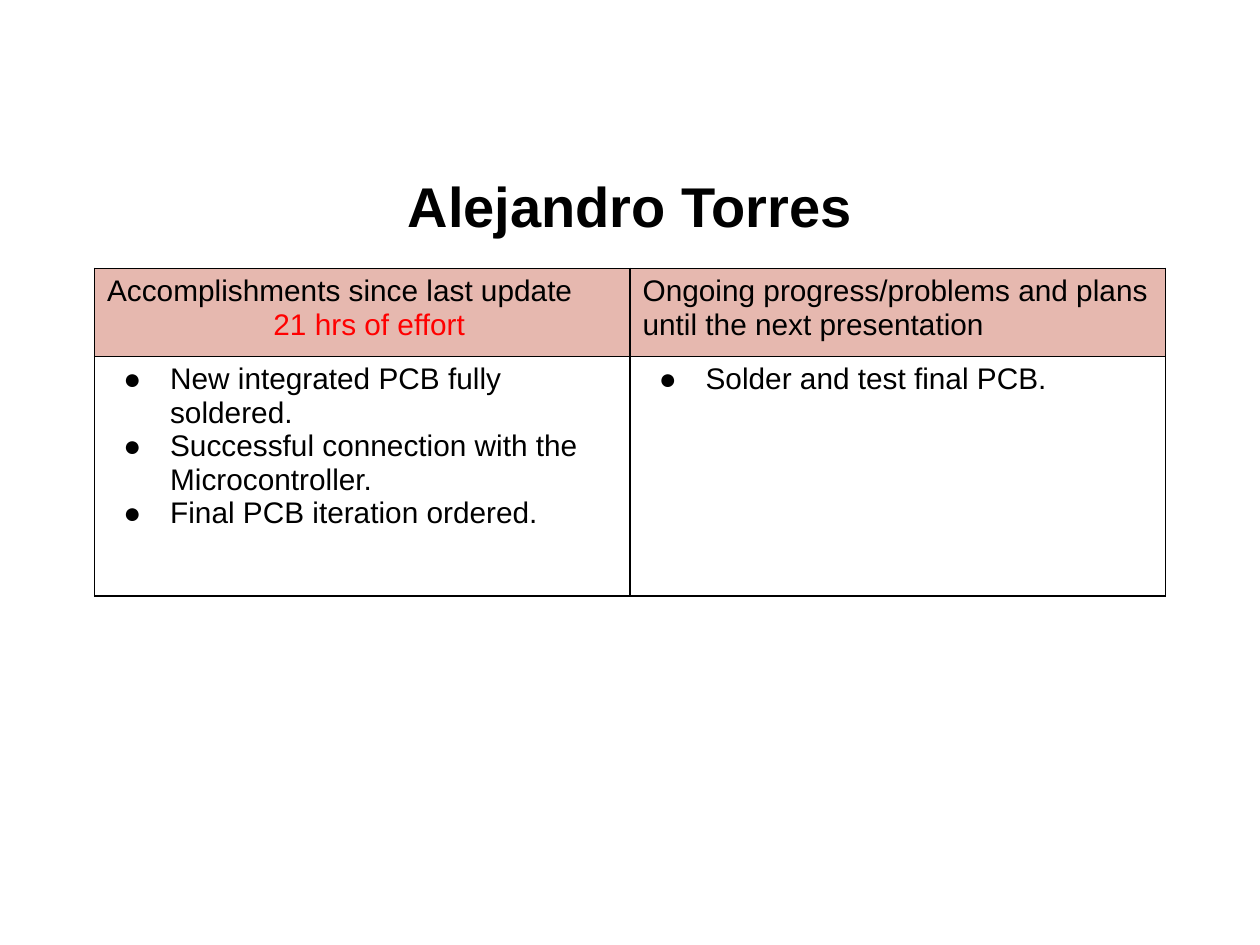
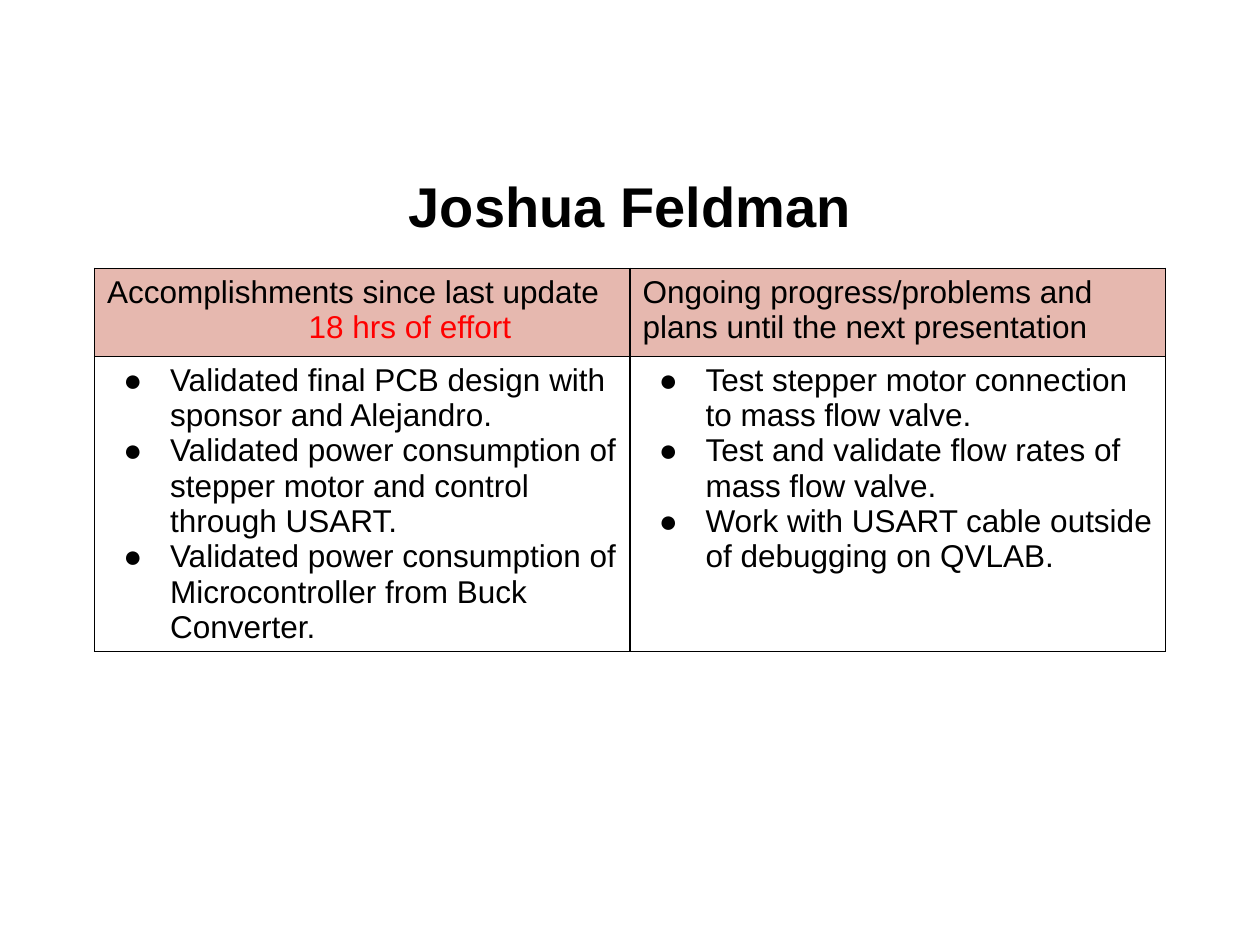
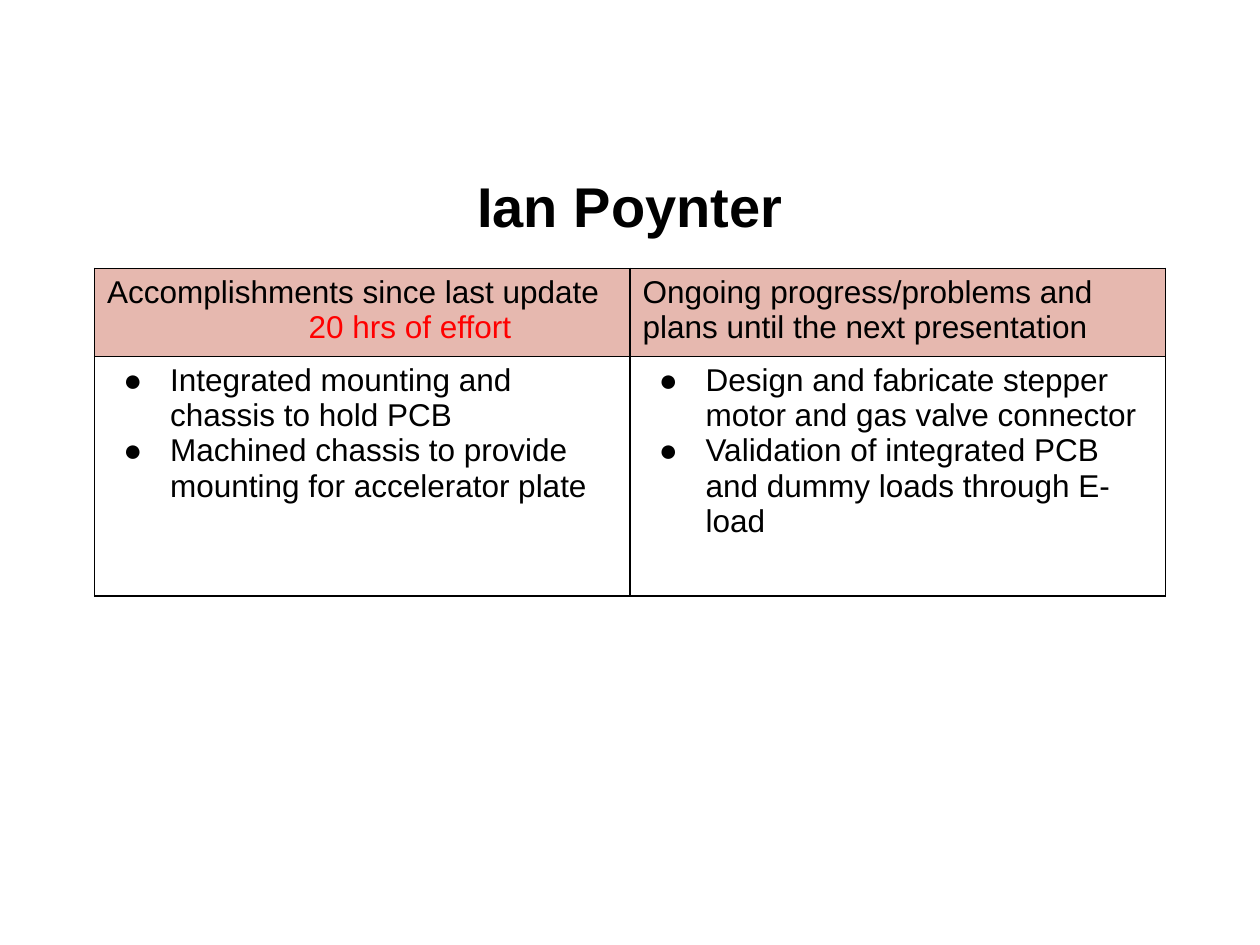
from dataclasses import dataclass

from lxml.etree import SubElement
from pptx import Presentation
from pptx.dml.color import RGBColor
from pptx.enum.text import MSO_ANCHOR as Anchor, MSO_AUTO_SIZE as AutoSize, PP_ALIGN as Align
from pptx.oxml.ns import qn
from pptx.util import Inches, Pt


@dataclass(frozen=True)
class Theme:
    font: str = "Arial"
    ink: str = "000000"
    effort: str = "FF0000"
    header: str = "E6B8AF"
    title_size: int = 32
    border: float = 1
    bullet: str = "●"


THEME = Theme()
TITLE_BOX = {"left": 0.5, "top": 1.15, "width": 9, "height": 0.88}
TABLE_LEFT, TABLE_TOP = 0.75, 2.13
COLUMN_WIDTH = 4.25
ROW_HEIGHTS = (0.7, 1.9)
BULLET_INDENT, BULLET_HANG = 0.5, 0.37
DONE_HEADING = "Accomplishments since last update"
PLANS_HEADING = "Ongoing progress/problems and plans until the next presentation"

UPDATES = [
    {
        "name": "Alejandro Torres", "hours": 21, "size": 17, "effort_indent": 1.32,
        "done": [
            "New integrated PCB fully soldered.",
            "Successful connection with the Microcontroller.",
            "Final PCB iteration ordered.",
        ],
        "plans": ["Solder and test final PCB."],
    },
    {
        "name": "Joshua Feldman", "hours": 18, "size": 18, "effort_indent": 1.6,
        "done": [
            "Validated final PCB design with sponsor and Alejandro.",
            "Validated power consumption of stepper motor and control through USART.",
            "Validated power consumption of Microcontroller from Buck Converter.",
        ],
        "plans": [
            "Test stepper motor connection to mass flow valve.",
            "Test and validate flow rates of mass flow valve.",
            "Work with USART cable outside of debugging on QVLAB.",
        ],
    },
    {
        "name": "Ian Poynter", "hours": 20, "size": 18, "effort_indent": 1.6,
        "done": [
            "Integrated mounting and chassis to hold PCB",
            "Machined chassis to provide mounting for accelerator plate",
        ],
        "plans": [
            "Design and fabricate stepper motor and gas valve connector",
            "Validation of integrated PCB and dummy loads through E-load",
        ],
    },
]


def add_span(para, text, size, color=THEME.ink, bold=False):
    span = para.add_run()
    span.text = text
    formats = {"name": THEME.font, "size": Pt(size), "bold": bold}
    for key, value in formats.items():
        setattr(span.font, key, value)
    span.font.color.rgb = RGBColor.from_string(color)


def add_solid_fill(parent, color):
    fill = SubElement(parent, qn("a:solidFill"))
    SubElement(fill, qn("a:srgbClr"), val=color)


def next_para(frame, index):
    return frame.paragraphs[0] if index == 0 else frame.add_paragraph()


def set_indent(para, left, hang=0):
    props = para._p.get_or_add_pPr()
    props.set("marL", str(Inches(left)))
    props.set("indent", str(-Inches(hang)))
    return props


# Title placeholder
def set_title(page, name):
    title = page.shapes.title
    for key, value in TITLE_BOX.items():
        setattr(title, key, Inches(value))
    frame = title.text_frame
    formats = {"word_wrap": True, "auto_size": AutoSize.NONE, "vertical_anchor": Anchor.MIDDLE}
    for key, value in formats.items():
        setattr(frame, key, value)
    para = frame.paragraphs[0]
    para.alignment = Align.CENTER
    para.line_spacing = 1.15
    add_span(para, name, THEME.title_size, bold=True)


# Table cells
def style_cell(cell, fill=None):
    props = cell._tc.get_or_add_tcPr()
    for side in ("lnL", "lnR", "lnT", "lnB"):
        line = SubElement(props, qn(f"a:{side}"), w=str(Pt(THEME.border)))
        add_solid_fill(line, THEME.ink)
    if fill:
        cell.fill.solid()
        cell.fill.fore_color.rgb = RGBColor.from_string(fill)
    else:
        cell.fill.background()


def add_bullets(cell, items, size):
    for index, item in enumerate(items):
        para = next_para(cell.text_frame, index)
        props = set_indent(para, BULLET_INDENT, BULLET_HANG)
        color = SubElement(props, qn("a:buClr"))
        SubElement(color, qn("a:srgbClr"), val=THEME.ink)
        SubElement(props, qn("a:buFont"), typeface=THEME.font)
        SubElement(props, qn("a:buChar"), char=THEME.bullet)
        add_span(para, item, size)


def add_update_table(page, update):
    table = page.shapes.add_table(
        2, 2, Inches(TABLE_LEFT), Inches(TABLE_TOP),
        Inches(2 * COLUMN_WIDTH), Inches(sum(ROW_HEIGHTS))).table
    table.first_row = table.horz_banding = False
    for row, height in zip(table.rows, ROW_HEIGHTS):
        row.height = Inches(height)

    size = update["size"]
    columns = ((DONE_HEADING, update["done"]), (PLANS_HEADING, update["plans"]))
    for index, (heading, items) in enumerate(columns):
        head, body = table.cell(0, index), table.cell(1, index)
        style_cell(head, THEME.header)
        style_cell(body)
        add_span(head.text_frame.paragraphs[0], heading, size)
        add_bullets(body, items, size)

    # Hours line under the first heading
    effort = table.cell(0, 0).text_frame.add_paragraph()
    set_indent(effort, update["effort_indent"])
    add_span(effort, f"{update['hours']} hrs of effort", size, THEME.effort)


def main():
    deck = Presentation()
    deck.slide_width, deck.slide_height = Inches(10), Inches(7.5)
    title_only = deck.slide_layouts[5]
    for update in UPDATES:
        page = deck.slides.add_slide(title_only)
        set_title(page, update["name"])
        add_update_table(page, update)
    deck.save("out.pptx")


if __name__ == "__main__":
    main()
